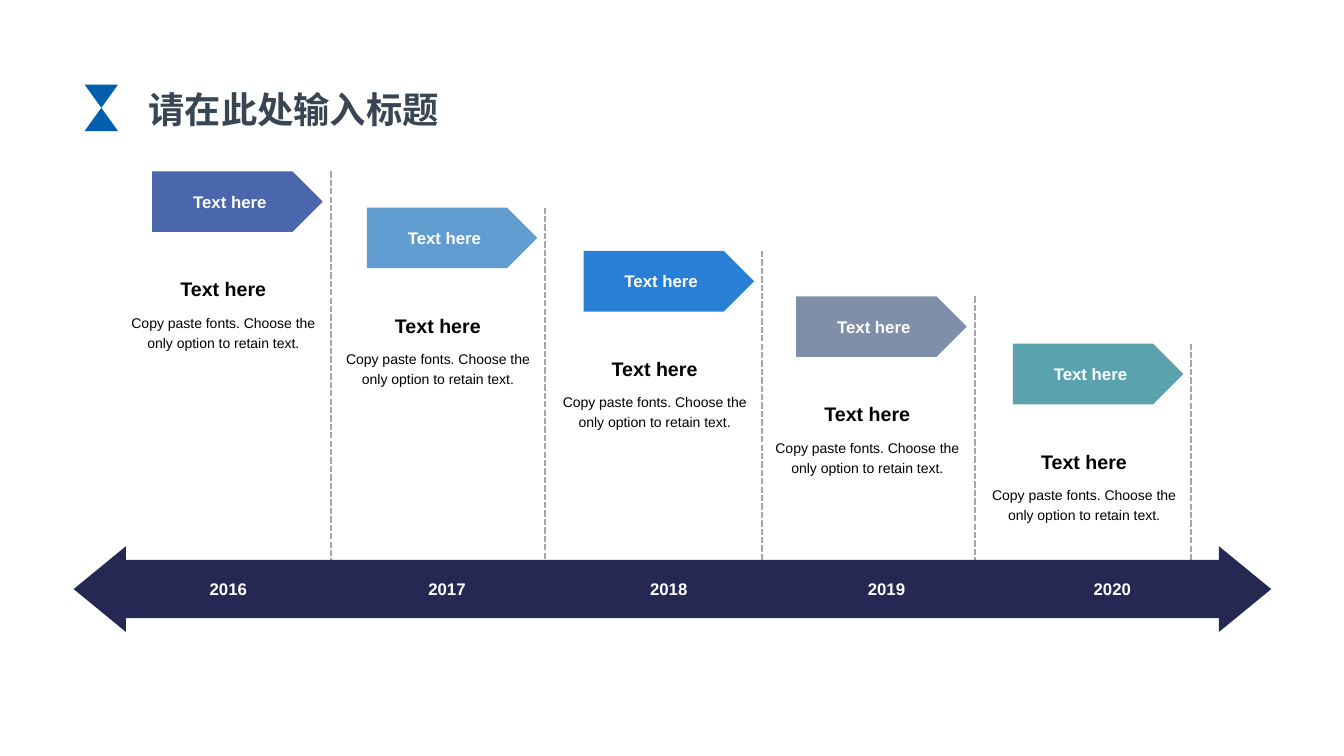
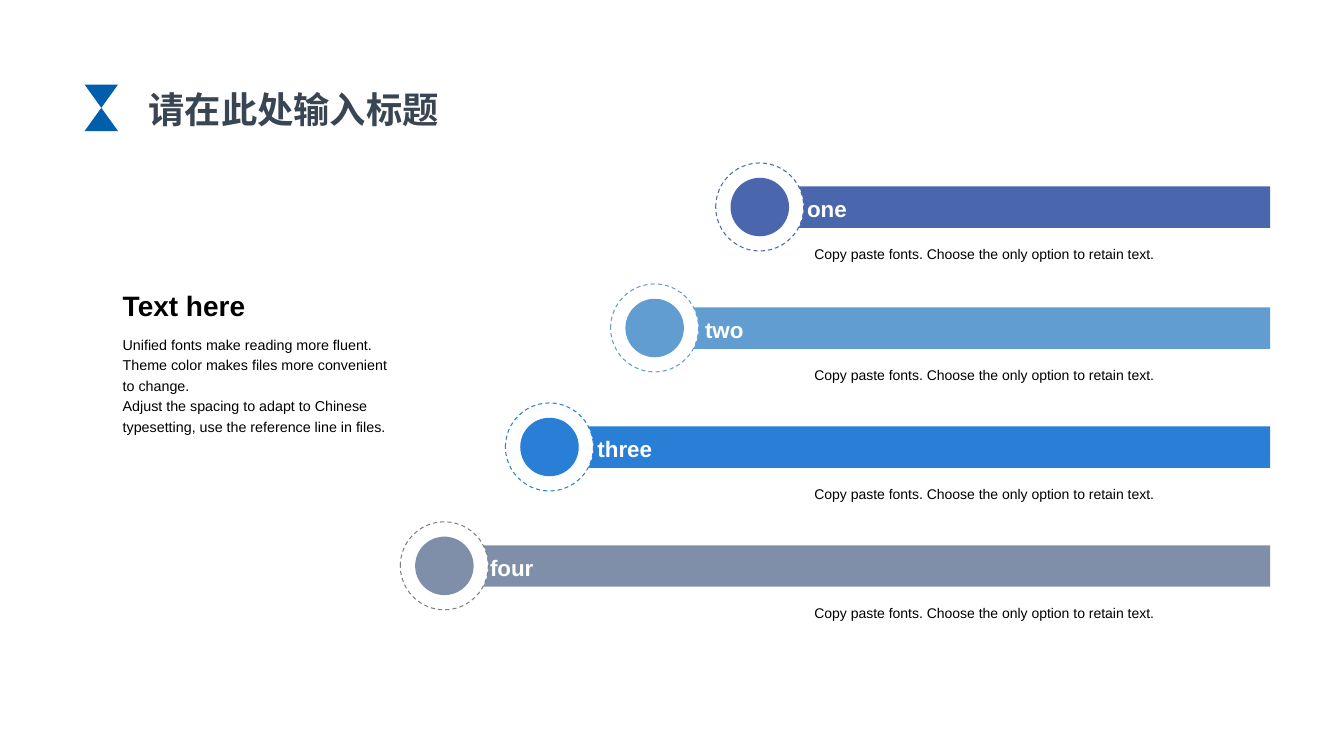
from dataclasses import dataclass
from math import cos, pi, sin
from typing import NamedTuple

from lxml.etree import SubElement
from pptx import Presentation
from pptx.dml.color import RGBColor
from pptx.enum.dml import MSO_LINE
from pptx.enum.shapes import MSO_CONNECTOR, MSO_SHAPE
from pptx.enum.text import MSO_ANCHOR, PP_ALIGN
from pptx.oxml.ns import qn
from pptx.shapes.autoshape import Shape
from pptx.slide import Slide
from pptx.util import Pt

BLACK = RGBColor(0x00, 0x00, 0x00)
WHITE = RGBColor(0xFF, 0xFF, 0xFF)
GRAY = RGBColor(0x80, 0x80, 0x80)
DIVIDER_GRAY = RGBColor(0xA6, 0xA6, 0xA6)
TITLE_SLATE = RGBColor(0x3A, 0x45, 0x54)
MARK_BLUE = RGBColor(0x00, 0x5E, 0xAC)
NAVY = RGBColor(0x24, 0x28, 0x52)
INDIGO = RGBColor(0x4A, 0x66, 0xAC)
SKY = RGBColor(0x62, 0x9D, 0xD1)
AZURE = RGBColor(0x29, 0x7F, 0xD5)
STEEL = RGBColor(0x7F, 0x8F, 0xA9)
TEAL = RGBColor(0x5A, 0xA2, 0xAE)

LATIN_FONT = "Arial"
TITLE_FONT = "Noto Sans CJK SC"
TITLE = "请在此处输入标题"
HEADING = "Text here"
CAPTION = "Copy paste fonts. Choose the only option to retain text."


class Box(NamedTuple):
    left: float
    top: float
    width: float
    height: float

    def lengths(self) -> list[Pt]:
        return [Pt(value) for value in self]


@dataclass(frozen=True)
class TextStyle:
    size: float
    color: RGBColor = BLACK
    bold: bool = False
    font: str = LATIN_FONT
    align: PP_ALIGN = PP_ALIGN.LEFT
    anchor: MSO_ANCHOR = MSO_ANCHOR.TOP
    line_spacing: float = 1.0
    inset: float = 7.2


TITLE_STYLE = TextStyle(25.9, TITLE_SLATE, True, TITLE_FONT, PP_ALIGN.CENTER, MSO_ANCHOR.MIDDLE, inset=0)
LABEL_STYLE = TextStyle(12, WHITE, True, align=PP_ALIGN.CENTER, anchor=MSO_ANCHOR.MIDDLE)
STEP_HEADING_STYLE = TextStyle(14, bold=True, align=PP_ALIGN.CENTER, anchor=MSO_ANCHOR.BOTTOM)
STEP_BODY_STYLE = TextStyle(10, align=PP_ALIGN.CENTER, line_spacing=1.2)
CAPTION_STYLE = TextStyle(10, anchor=MSO_ANCHOR.MIDDLE, line_spacing=1.2)
SIDE_HEADING_STYLE = TextStyle(20, bold=True)
SIDE_BODY_STYLE = TextStyle(10.2, line_spacing=1.2)


class Step(NamedTuple):
    year: str
    color: RGBColor
    divider_x: float
    top: float
    year_center: float


STEPS = [
    Step("2016", INDIGO, 236.2, 122.4, 163.1),
    Step("2017", SKY, 389.5, 148.3, 319.3),
    Step("2018", AZURE, 544.3, 179.3, 477.7),
    Step("2019", STEEL, 696.2, 211.7, 633.2),
    Step("2020", TEAL, 851, 245.5, 794.5),
]


class Band(NamedTuple):
    label: str
    color: RGBColor
    ring_color: RGBColor
    top: float
    inset: float


BANDS = [
    Band("one", INDIGO, INDIGO, 133.2, 16.3),
    Band("two", SKY, SKY, 219.6, 20.2),
    Band("three", AZURE, AZURE, 304.6, 20.2),
    Band("four", STEEL, GRAY, 389.5, 20.2),
]
BAND_RIGHT = 907.2
BAND_HEIGHT = 29.5
NOTCH_DEPTH = 7.6
NOTCH_SEGMENTS = 12


def write_text(shape: Shape, text: str, style: TextStyle) -> None:
    """Fill the shape with one paragraph for each line of text."""
    frame = shape.text_frame
    frame_format = {
        "word_wrap": True,
        "vertical_anchor": style.anchor,
        "margin_left": Pt(style.inset),
        "margin_right": Pt(min(style.inset, 7.2)),
    }
    for name, value in frame_format.items():
        setattr(frame, name, value)
    font_format = {"size": Pt(style.size), "bold": style.bold, "name": style.font}
    for index, line in enumerate(text.split("\n")):
        paragraph = frame.add_paragraph() if index else frame.paragraphs[0]
        paragraph.alignment = style.align
        paragraph.line_spacing = style.line_spacing
        run = paragraph.add_run()
        run.text = line
        for name, value in font_format.items():
            setattr(run.font, name, value)
        run.font.color.rgb = style.color
        SubElement(run.font._element, qn("a:ea"), typeface=style.font)


def add_text(slide: Slide, box: Box, text: str, style: TextStyle) -> None:
    write_text(slide.shapes.add_textbox(*box.lengths()), text, style)


def paint(shape: Shape, color: RGBColor) -> None:
    """Give the shape a flat fill with no line or shadow."""
    shape.shadow.inherit = False
    shape.fill.solid()
    shape.fill.fore_color.rgb = color
    shape.line.fill.background()


def add_filled_shape(slide: Slide, kind: MSO_SHAPE, box: Box, color: RGBColor) -> Shape:
    shape = slide.shapes.add_shape(kind, *box.lengths())
    paint(shape, color)
    return shape


def add_titled_slide(presentation: Presentation) -> Slide:
    slide = presentation.slides.add_slide(presentation.slide_layouts[6])
    add_text(slide, Box(84.2, 60.5, 251.3, 34.6), TITLE, TITLE_STYLE)
    add_filled_shape(slide, MSO_SHAPE.FLOWCHART_COLLATE, Box(60.5, 60.5, 23.8, 33.1), MARK_BLUE)
    return slide


def add_divider(slide: Slide, x: float, top: float, bottom: float) -> None:
    divider = slide.shapes.add_connector(
        MSO_CONNECTOR.STRAIGHT, Pt(x), Pt(top), Pt(x), Pt(bottom)
    )
    divider.line.color.rgb = DIVIDER_GRAY
    divider.line.width = Pt(1.5)
    divider.line.dash_style = MSO_LINE.SQUARE_DOT
    SubElement(divider._element.spPr, qn("a:effectLst"))


def add_step(slide: Slide, step: Step) -> None:
    plate_box = Box(step.divider_x - 127.5, step.top, 121.8, 43.3)
    plate = add_filled_shape(slide, MSO_SHAPE.PENTAGON, plate_box, step.color)
    write_text(plate, HEADING, LABEL_STYLE)
    add_divider(slide, step.divider_x, step.top, 400.3)
    column_width = 153.4
    left = step.divider_x - column_width
    add_text(slide, Box(left, step.top + 43.6, column_width, 52.5), HEADING, STEP_HEADING_STYLE)
    add_text(slide, Box(left, step.top + 96, column_width, 46.8), CAPTION, STEP_BODY_STYLE)


def build_timeline(presentation: Presentation) -> None:
    slide = add_titled_slide(presentation)
    for step in STEPS:
        add_step(slide, step)
    arrow_box = Box(52.6, 390.2, 855.4, 61.2)
    arrow = add_filled_shape(slide, MSO_SHAPE.LEFT_RIGHT_ARROW, arrow_box, NAVY)
    arrow.adjustments[0] = 0.68
    arrow.adjustments[1] = 0.61
    for step in STEPS:
        add_text(slide, Box(step.year_center - 30, 408.2, 60, 24.5), step.year, LABEL_STYLE)


def add_notched_bar(slide: Slide, left: float, top: float, color: RGBColor) -> Shape:
    """Draw a bar whose left end curves inwards around its ring."""
    radius = BAND_HEIGHT / 2
    angles = [pi * index / NOTCH_SEGMENTS - pi / 2 for index in range(NOTCH_SEGMENTS + 1)]
    curve = [
        (Pt(left + NOTCH_DEPTH * cos(angle)), Pt(top + radius + radius * sin(angle)))
        for angle in angles
    ]
    builder = slide.shapes.build_freeform(Pt(BAND_RIGHT), Pt(top))
    builder.add_line_segments(curve + [(Pt(BAND_RIGHT), Pt(top + BAND_HEIGHT))])
    bar = builder.convert_to_shape()
    paint(bar, color)
    return bar


def add_band(slide: Slide, index: int, band: Band) -> None:
    bar = add_notched_bar(slide, 560.2 - 76.8 * index, band.top, band.color)
    label_style = TextStyle(
        16, WHITE, True, anchor=MSO_ANCHOR.MIDDLE, line_spacing=1.1, inset=band.inset
    )
    write_text(bar, band.label, label_style)

    ring_left, ring_top = 511.2 - 75.1 * index, band.top - 16.8
    ring = add_filled_shape(slide, MSO_SHAPE.OVAL, Box(ring_left, ring_top, 62.9, 62.9), WHITE)
    ring.line.color.rgb = band.ring_color
    ring.line.width = Pt(0.75)
    ring.line.dash_style = MSO_LINE.DASH
    disc_box = Box(ring_left + 10.6, ring_top + 10.6, 41.8, 41.8)
    add_filled_shape(slide, MSO_SHAPE.OVAL, disc_box, band.color)
    add_text(slide, Box(574.6, band.top + 27.8, 332.6, 38.2), CAPTION, CAPTION_STYLE)


def build_bands(presentation: Presentation) -> None:
    slide = add_titled_slide(presentation)
    for index, band in enumerate(BANDS):
        add_band(slide, index, band)
    add_text(slide, Box(80.6, 202.3, 211.7, 34.6), HEADING, SIDE_HEADING_STYLE)
    side_text = (
        "Unified fonts make reading more fluent.\n"
        "Theme color makes files more convenient to change.\n"
        "Adjust the spacing to adapt to Chinese typesetting, use the reference line in files."
    )
    add_text(slide, Box(80.6, 234, 211.7, 90.7), side_text, SIDE_BODY_STYLE)


def main() -> None:
    presentation = Presentation()
    presentation.slide_width = Pt(960)
    presentation.slide_height = Pt(540)
    build_timeline(presentation)
    build_bands(presentation)
    presentation.save("out.pptx")


if __name__ == "__main__":
    main()
